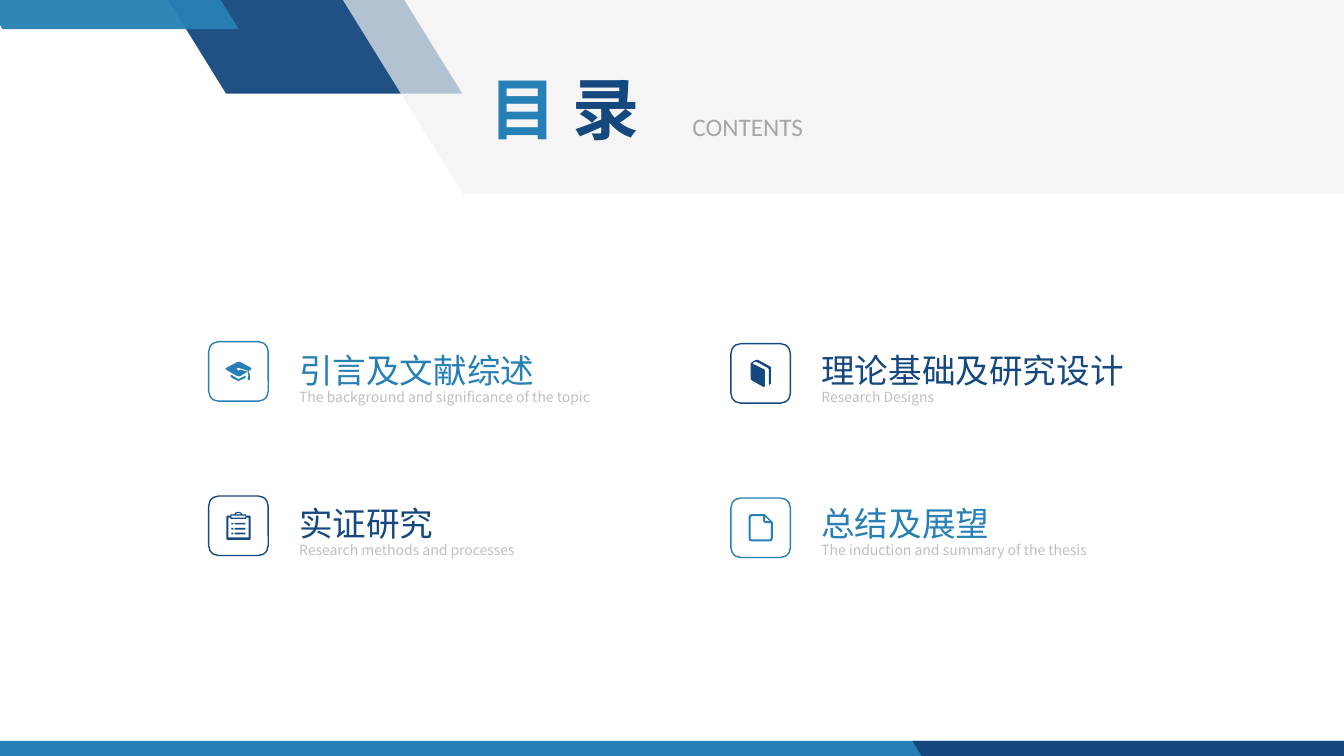
from lxml import etree
from pptx import Presentation
from pptx.dml.color import RGBColor
from pptx.enum.shapes import MSO_SHAPE
from pptx.enum.text import MSO_ANCHOR, MSO_AUTO_SIZE, PP_ALIGN
from pptx.oxml.ns import qn
from pptx.util import Cm, Pt

RECT = MSO_SHAPE.RECTANGLE
ROUND = MSO_SHAPE.ROUNDED_RECTANGLE
SLANT = MSO_SHAPE.PARALLELOGRAM
TOP = MSO_ANCHOR.TOP
GROW = MSO_AUTO_SIZE.SHAPE_TO_FIT_TEXT
LEFT, JUSTIFY = PP_ALIGN.LEFT, PP_ALIGN.JUSTIFY

COLORS = {"blue": "2680B5", "navy": "15487F", "band": "F2F2F2",
          "caption": "A6A6A6", "subtitle": "BFBFBF"}
CJK, LATIN = "Noto Sans CJK SC", "Calibri"


def block(x, y, w, h):
    return [(x, y), (x + w, y), (x + w, y + h), (x, y + h)]


# Icon outlines in hundredths of a centimetre; inner outlines become holes.
CAP = [
    [(64, 15), (38, 1), (34, 0), (30, 1), (3, 15), (0, 18), (3, 21), (30, 36),
     (34, 37), (38, 36), (56, 25), (37, 20), (33, 23), (28, 18), (33, 15),
     (38, 17), (58, 23), (64, 21), (66, 18)],
    [(56, 46), (62, 46), (62, 33), (58, 23), (56, 25), (58, 33)],
    [(13, 32), (13, 38), (20, 43), (27, 46), (33, 49), (39, 46), (46, 43),
     (51, 40), (51, 35), (33, 44)],
]
BOOK = [
    [(51, 18), (18, 0), (12, 1), (4, 6), (0, 10), (0, 48), (3, 52), (33, 69),
     (36, 67), (36, 27), (34, 24), (5, 10), (9, 6), (15, 5), (44, 21),
     (46, 24), (46, 61), (48, 64), (51, 60)],
]
CLIPBOARD = [
    [(0, 12), (2, 10), (10, 10), (10, 7), (20, 7), (23, 2), (30, 0), (37, 2),
     (41, 7), (50, 7), (50, 10), (59, 10), (61, 12), (61, 69), (59, 71),
     (2, 71), (0, 69)],
    [(23, 7), (26, 4), (30, 3), (35, 4), (37, 7)],
    block(13, 10, 35, 5),
    [(5, 15), (10, 15), (10, 18), (50, 18), (50, 15), (56, 15), (56, 65), (5, 65)],
    *[block(x, y, w, 4) for y in (28, 41, 53) for x, w in ((13, 5), (21, 27))],
]
PAGE = [
    [(8, 0), (41, 0), (61, 20), (61, 61), (59, 67), (53, 69), (8, 69), (2, 67),
     (0, 61), (0, 8), (2, 2)],
    [(56, 23), (43, 23), (39, 21), (37, 17), (37, 5), (8, 5), (5, 8), (5, 61),
     (8, 64), (53, 64), (56, 61)],
    [(54, 18), (41, 6), (41, 16), (44, 18)],
]

# column, row, colour, icon, heading, subtitle
ENTRIES = [
    (0, 0, "blue", CAP, "引言及文献综述", "The background and significance of the topic"),
    (0, 1, "navy", CLIPBOARD, "实证研究", "Research methods and processes"),
    (1, 0, "navy", BOOK, "理论基础及研究设计", "Research Designs"),
    (1, 1, "blue", PAGE, "总结及展望", "The induction and summary of the thesis"),
]


class ContentsSlide:
    def __init__(self, prs):
        self.s = prs.slides.add_slide(prs.slide_layouts[5])

    def paint(self, sp, color, alpha=100):
        sp.shadow.inherit = False
        sp.line.fill.background()
        sp.fill.solid()
        sp.fill.fore_color.rgb = RGBColor.from_string(COLORS[color])
        if alpha < 100:
            clr = sp._element.spPr.find(qn("a:solidFill"))[0]
            etree.SubElement(clr, qn("a:alpha")).set("val", str(alpha * 1000))

    def shape(self, kind, x, y, w, h):
        return self.s.shapes.add_shape(kind, Cm(x), Cm(y), Cm(w), Cm(h))

    def bar(self, x, y, w, h, color):
        self.paint(self.shape(RECT, x, y, w, h), color)

    def slant(self, x, y, w, h, color, alpha=100):
        """Parallelogram that leans down to the right."""
        sp = self.shape(SLANT, x, y, w, h)
        sp.adjustments[0] = 0.62
        sp._element.spPr.xfrm.set("flipV", "1")
        self.paint(sp, color, alpha)

    def frame(self, x, y, size, color):
        sp = self.shape(ROUND, x, y, size, size)
        sp.shadow.inherit = False
        sp.fill.background()
        sp.line.color.rgb = RGBColor.from_string(COLORS[color])
        sp.line.width = Pt(1)

    def icon(self, cx, cy, outlines, color):
        """Freeform centred on (cx, cy)."""
        w, h = (max(pt[i] for line in outlines for pt in line) for i in (0, 1))
        first, *others = outlines
        fb = self.s.shapes.build_freeform(*first[0], scale=Cm(0.01))
        fb.add_line_segments(first[1:])
        for line in others:
            fb.move_to(*line[0])
            fb.add_line_segments(line[1:])
        sp = fb.convert_to_shape(Cm(cx - w / 200), Cm(cy - h / 200))
        self.paint(sp, color)

    def fill_text(self, sp, runs, size, font=CJK, bold=False, align=LEFT, wrap=True):
        tf = sp.text_frame
        tf.word_wrap = wrap
        tf.auto_size = GROW
        tf.vertical_anchor = TOP
        p = tf.paragraphs[0]
        p.alignment = align
        for text, color in runs:
            r = p.add_run()
            r.text = text
            r.font.size = Pt(size)
            r.font.bold = bold
            r.font.name = font
            r.font.color.rgb = RGBColor.from_string(COLORS[color])
            etree.SubElement(r._r.get_or_add_rPr(), qn("a:ea")).set("typeface", font)

    def text(self, x, y, w, h, runs, size, **style):
        sp = self.s.shapes.add_textbox(Cm(x), Cm(y), Cm(w), Cm(h))
        self.fill_text(sp, runs, size, **style)

    def title(self, x, y, w, h, runs, size):
        sp = self.s.shapes.title
        sp.left, sp.top, sp.width, sp.height = Cm(x), Cm(y), Cm(w), Cm(h)
        self.s.shapes._spTree.append(sp._element)  # in front of the header band
        self.fill_text(sp, runs, size, bold=True, align=JUSTIFY)

    def entry(self, col, row, color, outlines, heading, subtitle):
        size = 1.5
        x, y = 5.26 + 13.16 * col, 8.61 + 0.05 * col + 3.89 * row
        self.frame(x, y, size, color)
        self.icon(x + size / 2, y + size / 2, outlines, color)
        text_x, text_y = x + 2.03, 8.69 + 3.85 * row
        self.text(text_x, text_y, 0.53 + 0.85 * len(heading), 1.27,
                  [(heading, color)], 24, wrap=False)
        self.text(text_x, text_y + 0.98, 8.76, 0.71, [(subtitle, "subtitle")], 10)


def main():
    prs = Presentation()
    prs.slide_width, prs.slide_height = Cm(33.87), Cm(19.05)
    slide = ContentsSlide(prs)

    slide.bar(0, 18.67, 33.87, 0.38, "blue")
    slide.slant(22.99, 18.67, 17.98, 0.38, "navy")
    slide.slant(1.24, -4.83, 10.41, 7.19, "navy", 95)
    slide.slant(8.61, -0.05, 29.21, 4.93, "band", 70)
    slide.slant(-4.39, -6.45, 10.41, 7.19, "blue", 95)

    slide.title(12.09, 1.57, 5, 2.31, [("目", "blue"), (" 录", "navy")], 48)
    slide.text(17.2, 2.69, 5.79, 1.02, [("CONTENTS", "caption")], 18,
               font=LATIN, align=JUSTIFY)
    for entry in ENTRIES:
        slide.entry(*entry)

    prs.save("out.pptx")


if __name__ == "__main__":
    main()
